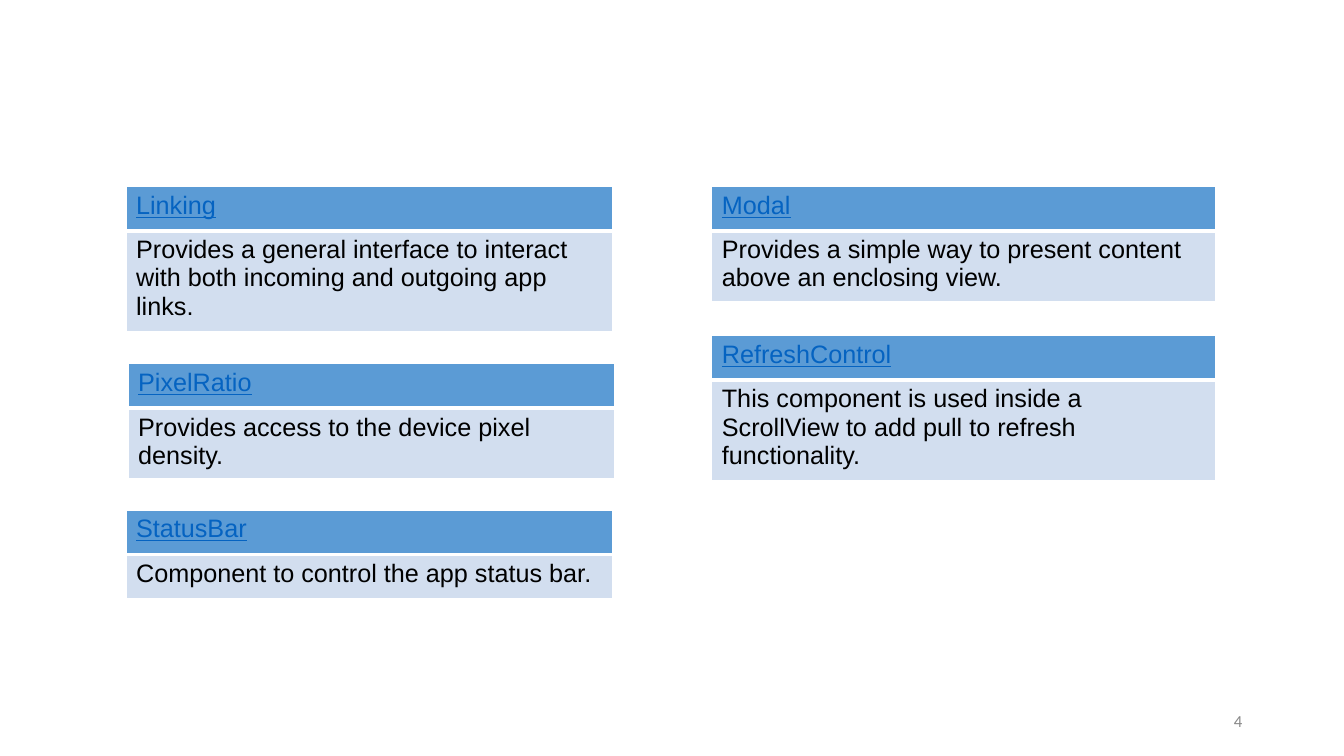
from pptx import Presentation
from pptx.dml.color import RGBColor
from pptx.enum.text import MSO_ANCHOR, PP_ALIGN
from pptx.oxml import parse_xml
from pptx.oxml.ns import nsdecls
from pptx.util import Inches, Pt

WHITE = RGBColor(0xFF, 0xFF, 0xFF)
BLACK = RGBColor(0x00, 0x00, 0x00)
HEADER_BLUE = RGBColor(0x5B, 0x9B, 0xD5)
BODY_BLUE = RGBColor(0xD2, 0xDE, 0xEF)
LINK_BLUE = RGBColor(0x05, 0x63, 0xC1)
NUMBER_GRAY = RGBColor(0x88, 0x88, 0x88)

HEADER_HEIGHT = 0.44
LEFT_WIDTH, RIGHT_WIDTH = 4.83, 5

# Each card: left, top, width, height, name, description
CARDS = [
    (1.25, 1.85, LEFT_WIDTH, 1.44, "Linking",
     "Provides a general interface to interact with both incoming and outgoing app links."),
    (7.06, 1.85, RIGHT_WIDTH, 1.14, "Modal",
     "Provides a simple way to present content above an enclosing view."),
    (1.27, 3.61, LEFT_WIDTH, 1.14, "PixelRatio",
     "Provides access to the device pixel density."),
    (7.06, 3.33, RIGHT_WIDTH, 1.44, "RefreshControl",
     "This component is used inside a ScrollView to add pull to refresh functionality."),
    (1.25, 5.06, LEFT_WIDTH, 0.88, "StatusBar",
     "Component to control the app status bar."),
]


def set_borders(cell, left=1, right=1, top=1, bottom=1):
    """Give the cell white borders, with widths in points."""
    properties = cell._tc.get_or_add_tcPr()
    for side, width in zip("LRTB", (left, right, top, bottom)):
        properties.append(parse_xml(
            f'<a:ln{side} {nsdecls("a")} w="{Pt(width)}"><a:solidFill>'
            f'<a:srgbClr val="{WHITE}"/></a:solidFill></a:ln{side}>'))


def fill_cell(cell, text, fill_color, font_color, underline):
    cell.fill.solid()
    cell.fill.fore_color.rgb = fill_color
    cell.text_frame.text = text
    font = cell.text_frame.paragraphs[0].runs[0].font
    font.name, font.size = "Arial", Pt(18)
    font.bold, font.underline = False, underline
    font.color.rgb = font_color


def add_card(slide, left, top, width, height, name, description):
    """Place a two-row table: component name above its description."""
    table = slide.shapes.add_table(
        2, 1, Inches(left), Inches(top), Inches(width), Inches(height)).table
    table.horz_banding = False
    table.rows[0].height = Inches(HEADER_HEIGHT)
    table.rows[1].height = Inches(height - HEADER_HEIGHT)
    header, body = table.cell(0, 0), table.cell(1, 0)
    set_borders(header, bottom=3)
    set_borders(body, top=3)
    fill_cell(header, name, HEADER_BLUE, LINK_BLUE, True)
    fill_cell(body, description, BODY_BLUE, BLACK, False)


def add_slide_number(slide, left, top, width, height, number):
    box = slide.shapes.add_textbox(
        Inches(left), Inches(top), Inches(width), Inches(height))
    text_frame = box.text_frame
    text_frame.word_wrap = True
    text_frame.vertical_anchor = MSO_ANCHOR.MIDDLE
    text_frame.text = number
    paragraph = text_frame.paragraphs[0]
    paragraph.alignment = PP_ALIGN.RIGHT
    font = paragraph.runs[0].font
    font.name, font.size = "Calibri", Pt(12)
    font.color.rgb = NUMBER_GRAY


def main():
    presentation = Presentation()
    presentation.slide_width = Inches(13.33)
    presentation.slide_height = Inches(7.5)
    blank_layout = presentation.slide_layouts[6]
    slide = presentation.slides.add_slide(blank_layout)

    # Slide number
    add_slide_number(slide, 9.42, 6.95, 3, 0.4, "4")

    # Component cards
    for card in CARDS:
        add_card(slide, *card)

    presentation.save("out.pptx")


if __name__ == "__main__":
    main()
